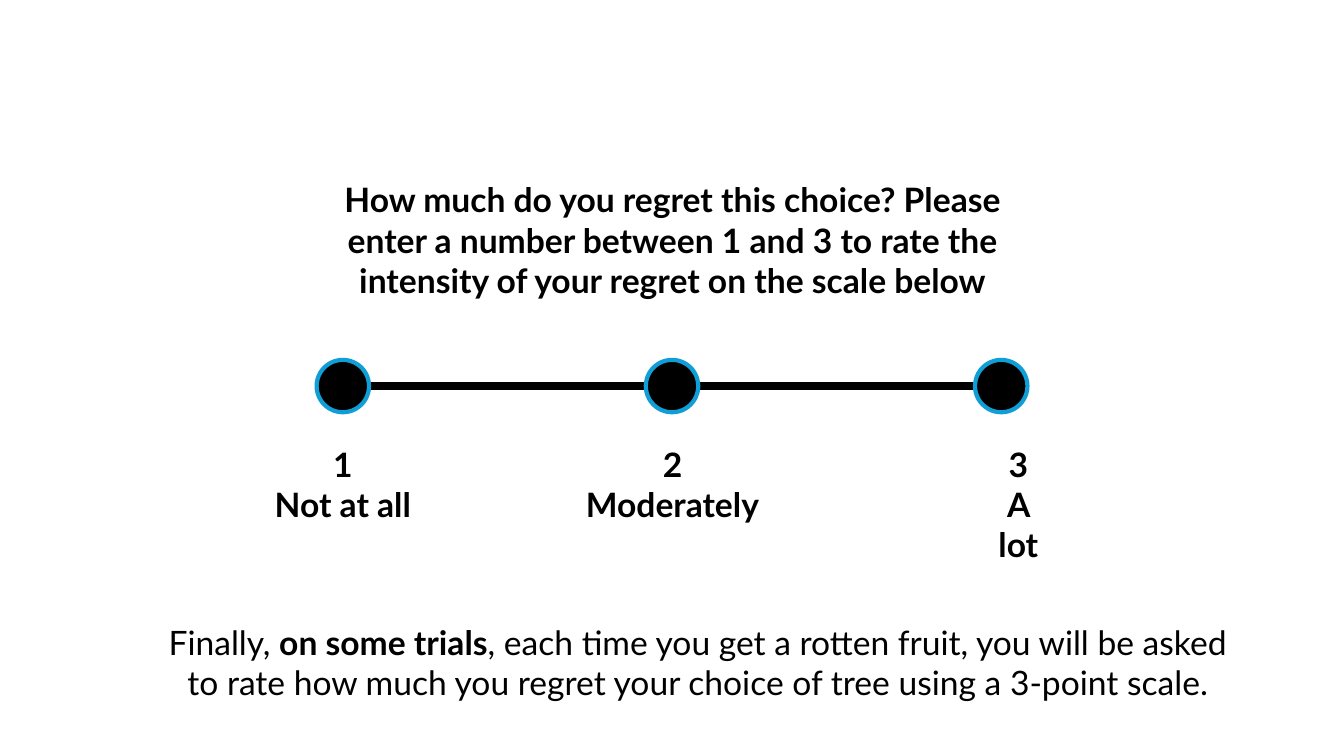
from pptx import Presentation
from pptx.dml.color import RGBColor
from pptx.enum.shapes import MSO_CONNECTOR, MSO_SHAPE
from pptx.enum.text import MSO_AUTO_SIZE, PP_ALIGN
from pptx.oxml.ns import qn
from pptx.util import Inches, Pt
from lxml import etree

BLACK = RGBColor(0x00, 0x00, 0x00)
BLUE = RGBColor(0x0F, 0x9E, 0xD5)
STRAIGHT = MSO_CONNECTOR.STRAIGHT
OVAL = MSO_SHAPE.OVAL
CENTER = PP_ALIGN.CENTER
GROW = MSO_AUTO_SIZE.SHAPE_TO_FIT_TEXT


class SlideBuilder:
    font_name = "Lato"
    font_size = Pt(24)

    def __init__(self, slide):
        self.shapes = slide.shapes

    def line(self, left, right, y, weight):
        line = self.shapes.add_connector(
            STRAIGHT, Inches(left), Inches(y), Inches(right), Inches(y))
        line.line.color.rgb = BLACK
        line.line.width = Pt(weight)
        etree.SubElement(line._element.spPr, qn("a:effectLst"))

    def dot(self, center_x, center_y, size):
        dot = self.shapes.add_shape(
            OVAL, Inches(center_x - size / 2), Inches(center_y - size / 2),
            Inches(size), Inches(size))
        dot.shadow.inherit = False
        dot.fill.solid()
        dot.fill.fore_color.rgb = BLACK
        dot.line.color.rgb = BLUE
        dot.line.width = Pt(3)

    def text(self, center_x, top, width, height, paragraphs):
        """Each paragraph is a list of (text, bold) pairs."""
        box = self.shapes.add_textbox(
            Inches(center_x - width / 2), Inches(top), Inches(width), Inches(height))
        frame = box.text_frame
        frame.word_wrap = True
        frame.auto_size = GROW
        frame.text = "\n".join(
            "".join(words for words, _ in spans) for spans in paragraphs)
        for para, spans in zip(frame.paragraphs, paragraphs):
            para.alignment = CENTER
            para.clear()
            for words, bold in spans:
                span = para.add_run()
                span.text = words
                span.font.name = self.font_name
                span.font.size = self.font_size
                span.font.bold = bold
                span.font.color.rgb = BLACK


def main():
    deck = Presentation()
    deck.slide_width = Inches(13.33)
    deck.slide_height = Inches(7.5)
    page = SlideBuilder(deck.slides.add_slide(deck.slide_layouts[6]))

    # Rating scale
    scale_left, scale_right, scale_y = 3.4, 9.93, 3.83
    step = (scale_right - scale_left) / 2
    page.line(scale_left, scale_right, scale_y, 6)
    for index in range(3):
        page.dot(scale_left + index * step, scale_y, 0.52)

    # Scale labels: centre, width, wording
    labels = [(3.4, 1.6, "Not at all"), (6.67, 2.0, "Moderately"), (10.1, 0.85, "A lot")]
    for number, (center_x, width, wording) in enumerate(labels, start=1):
        page.text(center_x, 4.35, width, 0.91,
                  [[(str(number), True)], [(wording, True)]])

    # Question
    page.text(6.67, 1.73, 7.51, 1.31, [[(
        "How much do you regret this choice? Please enter a number between 1 and 3 "
        "to rate the intensity of your regret on the scale below", True)]])

    # Instruction
    page.text(6.92, 6.12, 11.01, 0.91, [[
        ("Finally, ", False),
        ("on some trials", True),
        (", each time you get a rotten fruit, you will be asked to rate how much "
         "you regret your choice of tree using a 3-point scale.", False)]])

    deck.save("out.pptx")


if __name__ == "__main__":
    main()
